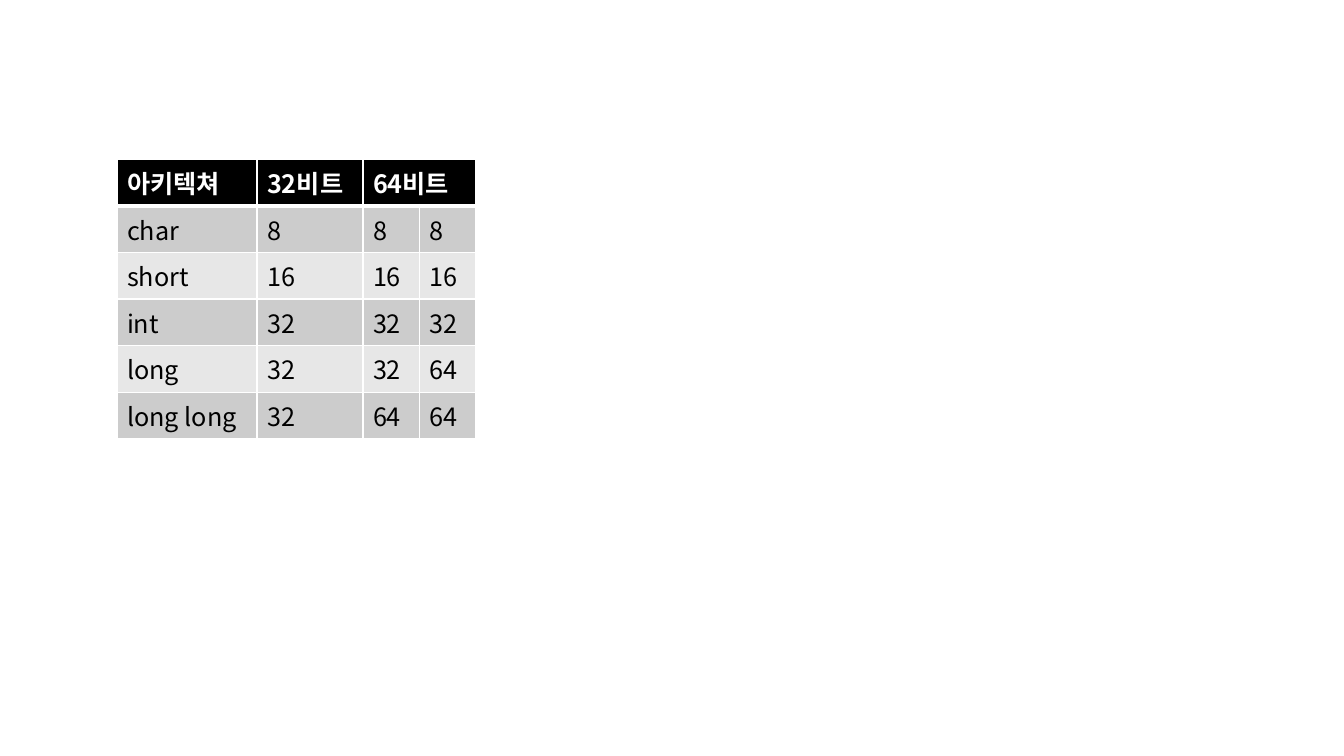
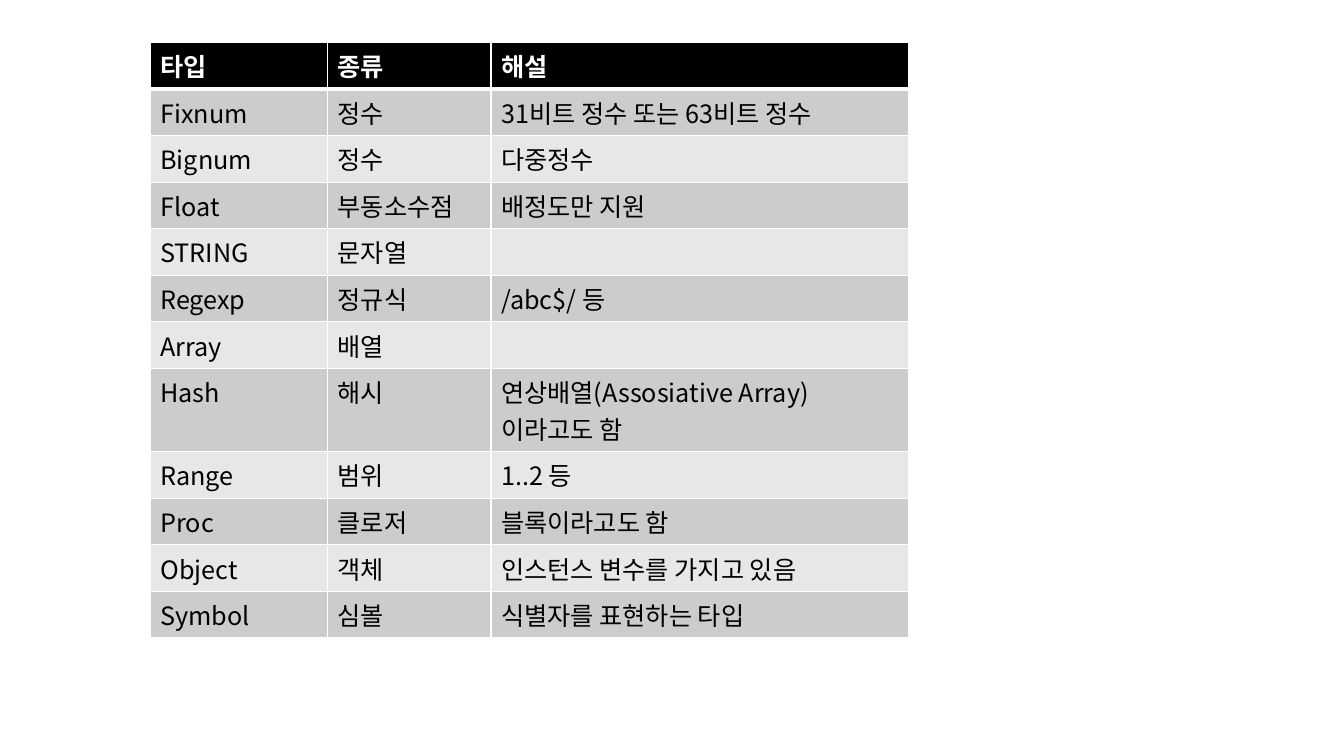
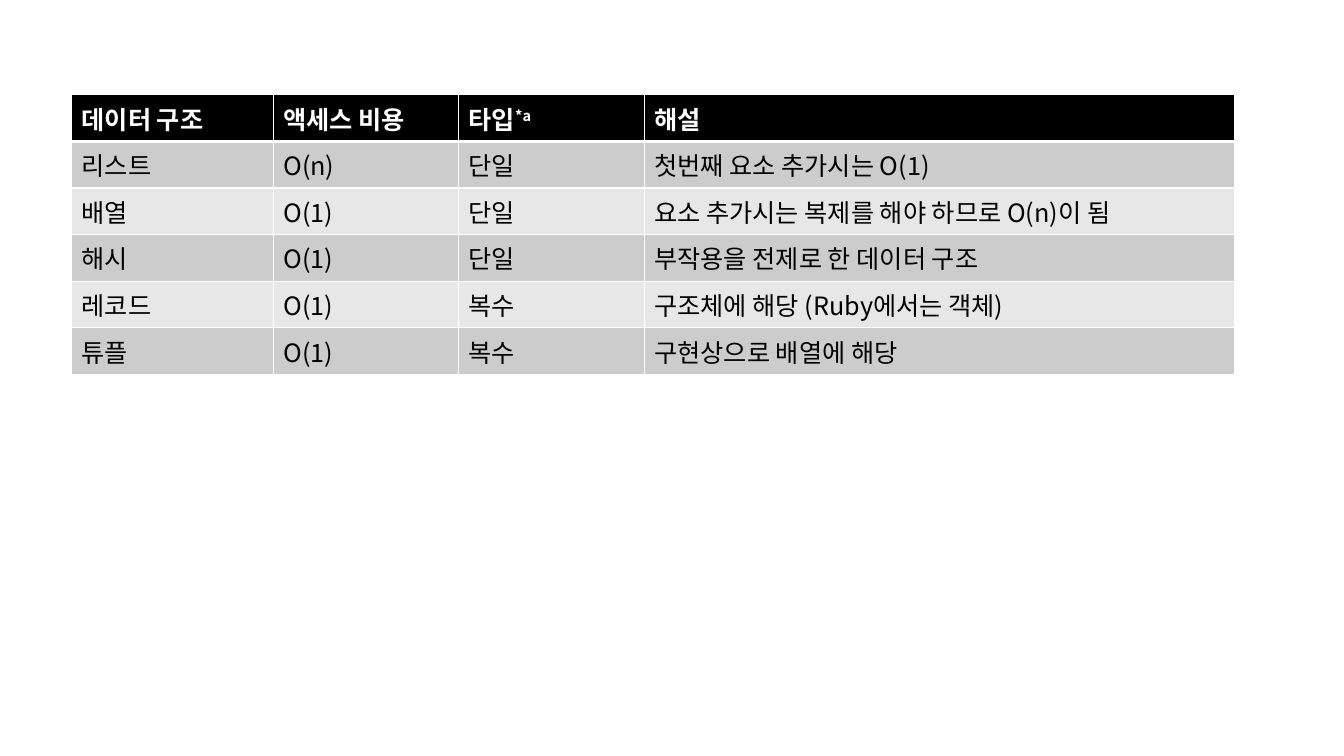
from dataclasses import dataclass

from lxml import etree
from pptx import Presentation
from pptx import util as u
from pptx.dml import color
from pptx.enum import text
from pptx.oxml import ns


@dataclass(frozen=True)
class Theme:
    font: str = "Noto Sans CJK KR"
    size: int = 18
    header_fill: str = "000000"
    header_text: str = "FFFFFF"
    body_fills: tuple = ("CCCCCC", "E7E7E7")
    body_text: str = "000000"
    border: str = "FFFFFF"
    thin: int = 1
    thick: int = 3


theme = Theme()
PX = 9144
ROW_HEIGHT = 43
TOP, MIDDLE = text.MSO_ANCHOR.TOP, text.MSO_ANCHOR.MIDDLE

type_sizes = [
    ["아키텍쳐", "32비트", "64비트", ""],
    ["char", "8", "8", "8"],
    ["short", "16", "16", "16"],
    ["int", "32", "32", "32"],
    ["long", "32", "32", "64"],
    ["long long", "32", "64", "64"],
]
ruby_types = [
    ["타입", "종류", "해설"],
    ["Fixnum", "정수", "31비트 정수 또는 63비트 정수"],
    ["Bignum", "정수", "다중정수"],
    ["Float", "부동소수점", "배정도만 지원"],
    ["STRING", "문자열", ""],
    ["Regexp", "정규식", "/abc$/ 등"],
    ["Array", "배열", ""],
    ["Hash", "해시", "연상배열(Assosiative Array)이라고도 함"],
    ["Range", "범위", "1..2 등"],
    ["Proc", "클로저", "블록이라고도 함"],
    ["Object", "객체", "인스턴스 변수를 가지고 있음"],
    ["Symbol", "심볼", "식별자를 표현하는 타입"],
]
data_structures = [
    ["데이터 구조", "액세스 비용", "타입", "해설"],
    ["리스트", "O(n)", "단일", "첫번째 요소 추가시는 O(1)"],
    ["배열", "O(1)", "단일", "요소 추가시는 복제를 해야 하므로 O(n)이 됨"],
    ["해시", "O(1)", "단일", "부작용을 전제로 한 데이터 구조"],
    ["레코드", "O(1)", "복수", "구조체에 해당 (Ruby에서는 객체)"],
    ["튜플", "O(1)", "복수", "구현상으로 배열에 해당"],
]


def style_run(run, is_header):
    run.font.size = u.Pt(theme.size)
    run.font.bold = is_header
    run.font.name = theme.font
    text_color = theme.header_text if is_header else theme.body_text
    run.font.color.rgb = color.RGBColor.from_string(text_color)
    properties = run._r.get_or_add_rPr()
    etree.SubElement(properties, ns.qn("a:ea"), typeface=theme.font)


def style_cell(cell, row_index):
    properties = cell._tc.get_or_add_tcPr()
    thick_side = {0: "lnB", 1: "lnT"}.get(row_index)
    for side in ("lnL", "lnR", "lnT", "lnB"):
        width = theme.thick if side == thick_side else theme.thin
        line = etree.SubElement(properties, ns.qn(f"a:{side}"), w=str(u.Pt(width)))
        fill = etree.SubElement(line, ns.qn("a:solidFill"))
        etree.SubElement(fill, ns.qn("a:srgbClr"), val=theme.border)
    cell.fill.solid()
    cell_fill = theme.body_fills[(row_index - 1) % 2] if row_index else theme.header_fill
    cell.fill.fore_color.rgb = color.RGBColor.from_string(cell_fill)
    for run in cell.text_frame.paragraphs[0].runs:
        style_run(run, row_index == 0)


presentation = Presentation()
presentation.slide_width = 1333 * PX
presentation.slide_height = 750 * PX

tables = []
for left, top, widths, rows, anchor in (
    (116, 158, (139, 105, 56, 56), type_sizes, TOP),
    (149, 42, (176, 162, 414), ruby_types, TOP),
    (71, 94, (200, 184, 184, 586), data_structures, MIDDLE),
):
    slide = presentation.slides.add_slide(presentation.slide_layouts[6])
    table = slide.shapes.add_table(
        len(rows), len(widths), left * PX, top * PX,
        sum(widths) * PX, len(rows) * ROW_HEIGHT * PX,
    ).table
    for column, width in zip(table.columns, widths):
        column.width = width * PX
    for row_index, row in enumerate(rows):
        for column_index, value in enumerate(row):
            cell = table.cell(row_index, column_index)
            cell.text_frame.text = value
            cell.vertical_anchor = anchor
            style_cell(cell, row_index)
    tables.append(table)

size_table, _, structure_table = tables
size_table.cell(0, 2).merge(size_table.cell(0, 3))

footnote_mark = structure_table.cell(0, 2).text_frame.paragraphs[0].add_run()
footnote_mark.text = "*a"
style_run(footnote_mark, True)
footnote_mark._r.get_or_add_rPr().set("baseline", "30000")

presentation.save("out.pptx")
